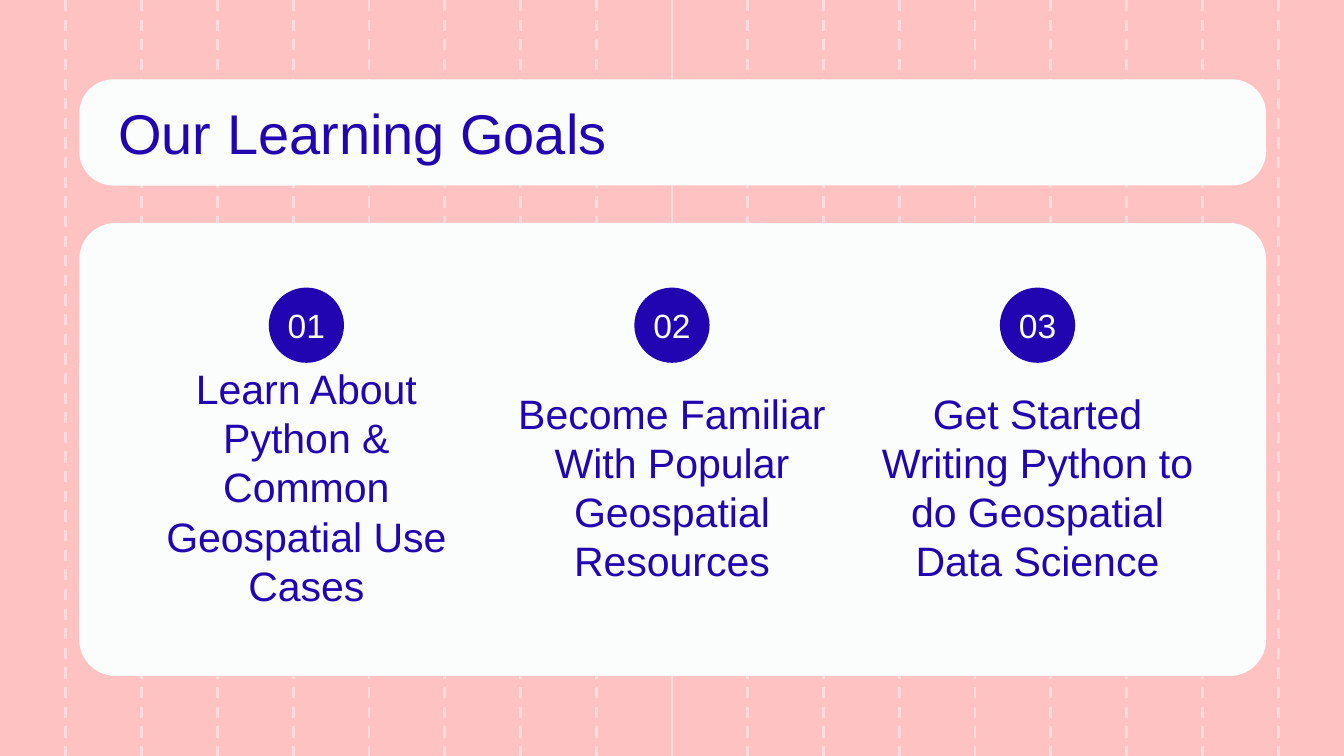
"""Build the learning goals slide: a title panel above three numbered goals."""
from lxml import etree
from pptx import Presentation
from pptx.dml.color import RGBColor
from pptx.enum.dml import MSO_LINE
from pptx.enum.shapes import MSO_CONNECTOR, MSO_SHAPE
from pptx.enum.text import MSO_ANCHOR, MSO_AUTO_SIZE, PP_ALIGN
from pptx.oxml.ns import qn
from pptx.util import Inches, Pt

DASH, SOLID = MSO_LINE.DASH, MSO_LINE.SOLID
STRAIGHT = MSO_CONNECTOR.STRAIGHT
ROUND, OVAL = MSO_SHAPE.ROUNDED_RECTANGLE, MSO_SHAPE.OVAL
MIDDLE, FIXED = MSO_ANCHOR.MIDDLE, MSO_AUTO_SIZE.NONE
LEFT, CENTER = PP_ALIGN.LEFT, PP_ALIGN.CENTER

TITLE = "Our Learning Goals"
GOALS = [
    "Learn About Python & Common Geospatial Use Cases",
    "Become Familiar With Popular Geospatial Resources",
    "Get Started Writing Python to do Geospatial Data Science",
]
PANELS = [(0.59, 0.79, 0.32), (1.66, 3.37, 0.08)]

THEME = {
    "font": "Arial",
    "back": RGBColor.from_string("FFC2C2"),
    "stripe": RGBColor.from_string("FFDADA"),
    "panel": RGBColor.from_string("FBFCFC"),
    "ink": RGBColor.from_string("2105B1"),
    "title": Pt(30),
    "goal": Pt(22),
    "badge": Pt(18),
}
WIDTH = 10
HEIGHT = WIDTH * 9 / 16
MID = WIDTH / 2
STRIPES, EDGE = 17, 0.49
STEP = (WIDTH - 2 * EDGE) / (STRIPES - 1)
PITCH, BOX, DOT = 2.72, 2.66, 0.56


def box(left, top, width, height):
    return [Inches(n) for n in (left, top, width, height)]


def write(shape, text, size, color, align, side=0.1):
    frame = shape.text_frame
    frame.text = text
    frame.word_wrap = True
    frame.auto_size = FIXED
    frame.vertical_anchor = MIDDLE
    frame.margin_left = frame.margin_right = Inches(side)
    frame.margin_top = frame.margin_bottom = Inches(0.1)
    line = frame.paragraphs[0]
    line.alignment = align
    font = line.runs[0].font
    font.name, font.size = THEME["font"], THEME[size]
    font.color.rgb = THEME[color]


def draw(slide, kind, place, color):
    shape = slide.shapes.add_shape(kind, *place)
    shape.shadow.inherit = False
    shape.fill.solid()
    shape.fill.fore_color.rgb = THEME[color]
    shape.line.fill.background()
    return shape


def add_stripes(slide):
    for i in range(STRIPES):
        x = Inches(EDGE + i * STEP)
        stripe = slide.shapes.add_connector(STRAIGHT, x, 0, x, Inches(HEIGHT))
        stripe.line.color.rgb = THEME["stripe"]
        stripe.line.width = Pt(1.5)
        stripe.line.dash_style = SOLID if i == STRIPES // 2 else DASH
        etree.SubElement(stripe._element.spPr, qn("a:effectLst"))


def add_panels(slide):
    for top, height, curve in PANELS:
        panel = draw(slide, ROUND, box(0.59, top, 8.83, height), "panel")
        panel.adjustments[0] = curve


def add_title(slide):
    title = slide.shapes.title
    title.left, title.top, title.width, title.height = box(0.78, 0.67, 8.44, 0.63)
    write(title, TITLE, "title", "ink", LEFT)
    slide.shapes._spTree.append(title._element)


def add_goals(slide):
    for i, goal in enumerate(GOALS):
        x = MID + (i - 1) * PITCH
        label = slide.shapes.add_textbox(*box(x - BOX / 2, 2.73, BOX, 1.78))
        write(label, goal, "goal", "ink", CENTER)
        badge = draw(slide, OVAL, box(x - DOT / 2, 2.14, DOT, DOT), "ink")
        write(badge, f"{i + 1:02}", "badge", "panel", CENTER, 0)


def main():
    deck = Presentation()
    deck.slide_width, deck.slide_height = Inches(WIDTH), Inches(HEIGHT)
    slide = deck.slides.add_slide(deck.slide_layouts[5])
    slide.background.fill.solid()
    slide.background.fill.fore_color.rgb = THEME["back"]
    add_stripes(slide)
    add_panels(slide)
    add_title(slide)
    add_goals(slide)
    deck.save("out.pptx")


if __name__ == "__main__":
    main()
